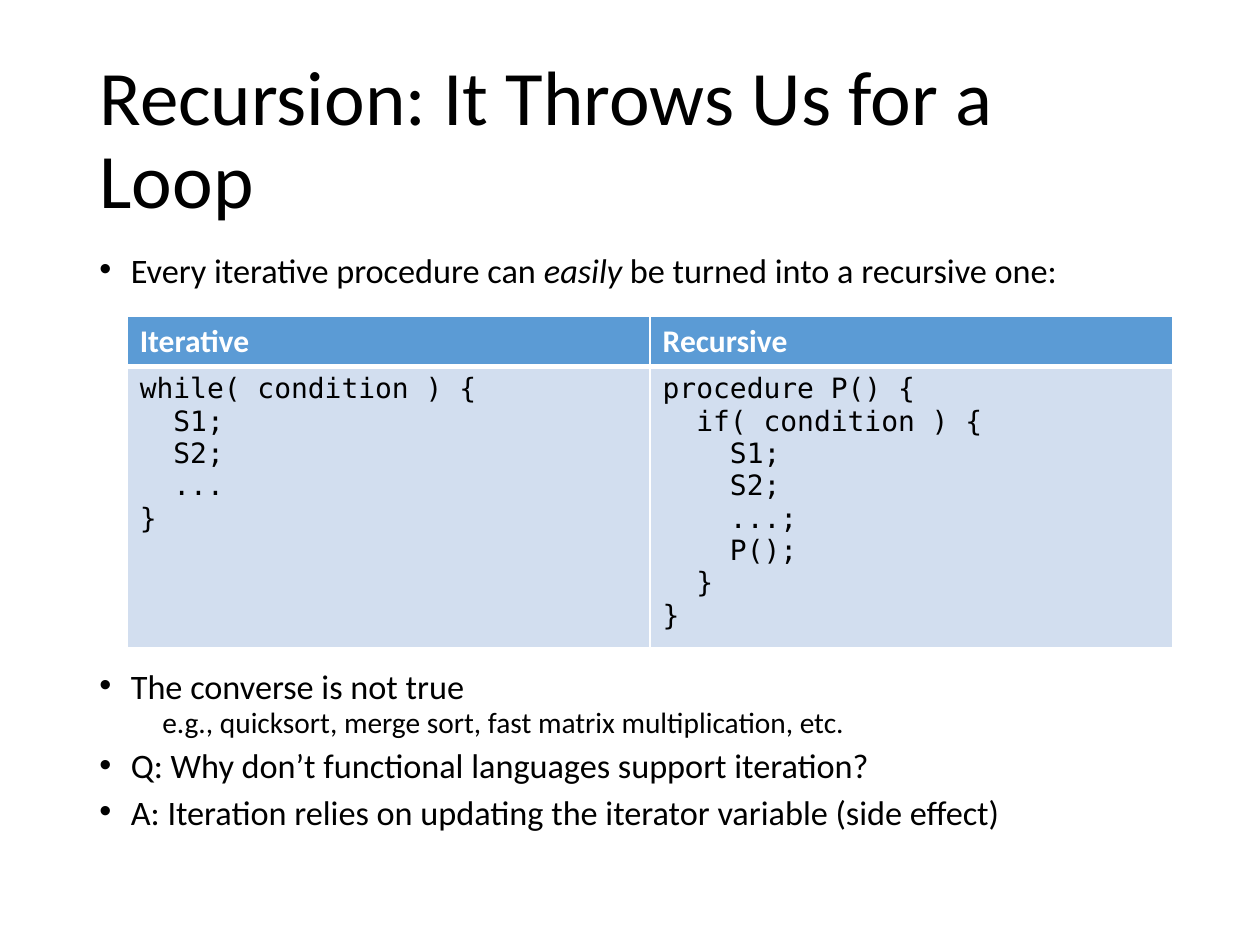
import pptx
import pptx.util
import pptx.dml.color
import pptx.enum.text
import pptx.oxml
import pptx.oxml.ns
from pptx.util import Inches, Pt

# Content
TITLE = "Recursion: It Throws Us for a Loop"
# Each bullet: runs as (text, italic), level, space before in points
BULLETS = [
    ([("Every iterative procedure can ", False), ("easily", True),
      (" be turned into a recursive one:", False)], 0, 10),
    ([("The converse is not true", False)], 0, 221),  # leaves room for the table
    ([("e.g., quicksort, merge sort, fast matrix multiplication, etc.", False)], 1, 5),
    ([("Q: Why don’t functional languages support iteration?", False)], 0, 10),
    ([("A: Iteration relies on updating the iterator variable (side effect)", False)], 0, 10),
]
CODE = {
    "Iterative": ["while( condition ) {", "  S1;", "  S2;", "  ...", "}"],
    "Recursive": ["procedure P() {", "  if( condition ) {", "    S1;", "    S2;",
                  "    ...;", "    P();", "  }", "}"],
}
SANS, MONO = "Calibri", "DejaVu Sans Mono"
LEVELS = [(19.6, 0.25, -0.25), (16.8, 0.5, 0)]  # size, left margin, first-line indent


def rgb(value):
    return pptx.dml.color.RGBColor.from_string(value)


def add_text(p, text, size=18, font=SANS, color="000000", bold=False, italic=False):
    r = p.add_run()
    r.text = text
    r.font.size, r.font.name = Pt(size), font
    r.font.bold, r.font.italic = bold, italic
    r.font.color.rgb = rgb(color)


def add_xml(parent, tag, index=None, **attributes):
    element = pptx.oxml.parse_xml(f"<a:{tag} {pptx.oxml.ns.nsdecls('a')}/>")
    for name, value in attributes.items():
        element.set(name, str(value))
    parent.insert(len(parent) if index is None else index, element)
    return element


def format_cell(cell, fill, top, bottom):
    cell.fill.solid()
    cell.fill.fore_color.rgb = rgb(fill)
    tcPr = cell._tc.get_or_add_tcPr()
    for i, (tag, width) in enumerate([("lnL", 1), ("lnR", 1), ("lnT", top), ("lnB", bottom)]):
        line = add_xml(tcPr, tag, index=i, w=Pt(width))
        add_xml(add_xml(line, "solidFill"), "srgbClr", val="FFFFFF")


prs = pptx.Presentation()
prs.slide_width, prs.slide_height = Inches(10), Inches(7.5)
s = prs.slides.add_slide(prs.slide_layouts[5])

# Title
title = s.shapes.title
title.left, title.top = Inches(0.69), Inches(0.4)
title.width, title.height = Inches(8.62), Inches(1.45)
tf = title.text_frame
tf.auto_size = pptx.enum.text.MSO_AUTO_SIZE.NONE
tf.vertical_anchor = pptx.enum.text.MSO_ANCHOR.MIDDLE
p = tf.paragraphs[0]
p.alignment = pptx.enum.text.PP_ALIGN.LEFT
p.line_spacing = 0.9
add_text(p, TITLE, size=44)

# Bullets
sp = s.shapes.add_textbox(Inches(0.69), Inches(2.02), Inches(8.62), Inches(4.76))
tf = sp.text_frame
tf.word_wrap = True
for i, (runs, level, space) in enumerate(BULLETS):
    p = tf.add_paragraph() if i else tf.paragraphs[0]
    size, margin, indent = LEVELS[level]
    p.level, p.line_spacing, p.space_before = level, 0.7, Pt(space)
    pPr = p._p.get_or_add_pPr()
    pPr.set("marL", str(Inches(margin)))
    pPr.set("indent", str(Inches(indent)))
    if level == 0:
        add_xml(pPr, "buFont", typeface="Arial")
        add_xml(pPr, "buChar", char="•")
    for text, italic in runs:
        add_text(p, text, size=size, italic=italic)

# Code table
table = s.shapes.add_table(2, len(CODE), Inches(1.01), Inches(2.51),
                           Inches(8.3), Inches(2.48)).table
table.rows[0].height, table.rows[1].height = Inches(0.38), Inches(2.1)
for col, (heading, lines) in enumerate(CODE.items()):
    head, body = table.cell(0, col), table.cell(1, col)
    format_cell(head, "5B9BD5", top=1, bottom=3)
    format_cell(body, "D2DEEF", top=3, bottom=1)
    add_text(head.text_frame.paragraphs[0], heading, color="FFFFFF", bold=True)
    tf = body.text_frame
    for i, line in enumerate(lines):
        p = tf.add_paragraph() if i else tf.paragraphs[0]
        add_text(p, line, size=16, font=MONO)

prs.save("out.pptx")
